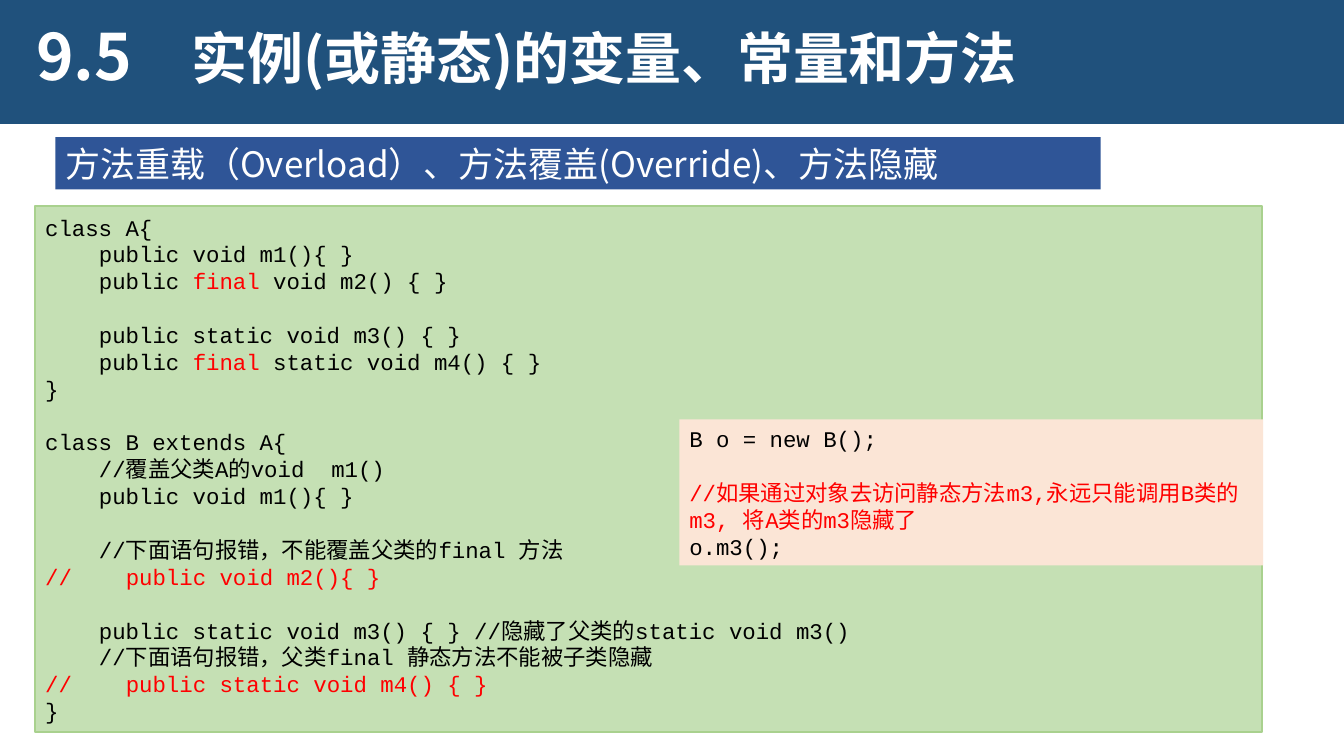
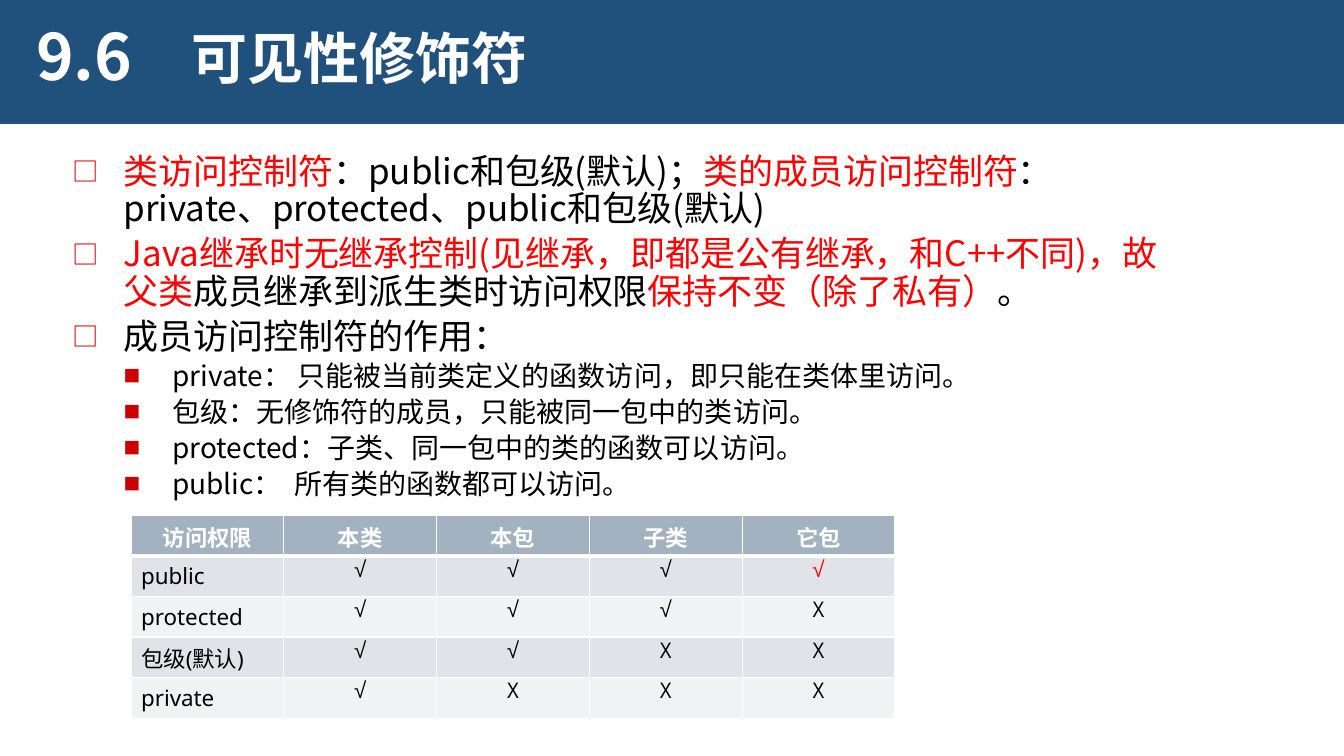
from dataclasses import dataclass
from pptx import Presentation
from pptx.dml.color import RGBColor
from pptx.enum.shapes import MSO_SHAPE
from pptx.enum.text import MSO_ANCHOR, PP_ALIGN
from pptx.oxml.ns import qn
from pptx.util import Pt
from lxml.etree import SubElement


@dataclass(frozen=True)
class Theme:
    band: str = "20517C"
    label: str = "2F5597"
    green: str = "C5E0B4"
    edge: str = "A9D18E"
    peach: str = "FBE5D6"
    head: str = "A3B2C1"
    rows: tuple = ("E0E4E9", "F0F2F4")
    white: str = "FFFFFF"
    black: str = "000000"
    red: str = "FF0000"
    mark: str = "CC0000"
    cjk: str = "Noto Sans CJK SC"
    sans: str = "Noto Sans"
    slim: str = "Arial Narrow"
    mono: str = "Courier New"
    number: float = 45.6
    title: float = 40
    body: float = 25
    sub: float = 20
    code: float = 16


T = Theme()
STEP = 38.4
LINE = 19.2
TAB = 57.6

TITLES = [("9.5", "实例(或静态)的变量、常量和方法"), ("9.6", "可见性修饰符")]
LABEL = "方法重载（Overload）、方法覆盖(Override)、方法隐藏"

# Each "|" switches between black and red.
CLASSES = [
    (0, 0, "class A{"),
    (1, 0, "public void m1(){ }"),
    (1, 0, "public |final| void m2() { }"),
    (1, 1, "public static void m3() { }"),
    (1, 0, "public |final| static void m4() { }"),
    (0, 0, "}"),
    (0, 1, "class B extends A{"),
    (1, 0, "//覆盖父类A的void  m1()"),
    (1, 0, "public void m1(){ }"),
    (1, 1, "//下面语句报错，不能覆盖父类的final 方法"),
    (0, 0, "|//\tpublic void m2(){ }"),
    (1, 1, "public static void m3() { } //隐藏了父类的static void m3()"),
    (1, 0, "//下面语句报错，父类final 静态方法不能被子类隐藏"),
    (0, 0, "|//\tpublic static void m4() { }"),
    (0, 0, "}"),
]
USAGE = [
    (0, 0, "B o = new B();"),
    (0, 1, "|//如果通过对象去访问静态方法m3,永远只能调用B类的m3, 将A类的m3隐藏了"),
    (0, 0, "o.m3();"),
]
POINTS = [
    (0, "|类访问控制符|：public和包级(默认)；|类的成员访问控制符|：private、protected、public和包级(默认)"),
    (0, "|Java继承时无继承控制(见继承，即都是公有继承，和C++不同)，故父类|成员继承到派生类时访问权限|保持不变（除了私有）|。"),
    (0, "成员访问控制符的作用："),
    (1, "private： 只能被当前类定义的函数访问，即只能在类体里访问。"),
    (1, "包级：无修饰符的成员，只能被同一包中的类访问。"),
    (1, "protected：子类、同一包中的类的函数可以访问。"),
    (1, "public：  所有类的函数都可以访问。"),
]
LEVELS = [
    dict(size=T.body, left=36.7, hang=36.7, sign="□", scale=75),
    dict(size=T.sub, left=71.3, hang=34.6, sign="■", scale=60),
]
ACCESS = [
    ("访问权限", "本类", "本包", "子类", "它包"),
    ("public", "√", "√", "√", "|√"),
    ("protected", "√", "√", "√", "X"),
    ("包级(默认)", "√", "√", "X", "X"),
    ("private", "√", "X", "X", "X"),
]


def rgb(hue):
    return RGBColor.from_string(hue)


def write(para, text, size, face, hue=T.black, bold=False, east=T.cjk):
    for i, part in enumerate(text.split("|")):
        if not part:
            continue
        run = para.add_run()
        run.text = part
        font = run.font
        font.size, font.name, font.bold = Pt(size), face, bold
        font.color.rgb = rgb(T.red if i % 2 else hue)
        SubElement(font._element, qn("a:ea"), typeface=east)


def box(slide, area, fill, line=None):
    shape = slide.shapes.add_shape(MSO_SHAPE.RECTANGLE, *map(Pt, area))
    shape.shadow.inherit = False
    shape.fill.solid()
    shape.fill.fore_color.rgb = rgb(fill)
    if line:
        shape.line.color.rgb = rgb(line)
        shape.line.width = Pt(1.75)
    else:
        shape.line.fill.background()
    frame = shape.text_frame
    frame.word_wrap = True
    frame.vertical_anchor = MSO_ANCHOR.MIDDLE
    return frame


def area_text(slide, area):
    frame = slide.shapes.add_textbox(*map(Pt, area)).text_frame
    frame.word_wrap = True
    return frame


def paras(frame, items):
    for i, item in enumerate(items):
        yield (frame.add_paragraph() if i else frame.paragraphs[0]), item


def heading(deck, number, title):
    slide = deck.slides.add_slide(deck.slide_layouts[6])
    box(slide, (0, 0, 960, 88.6), T.band)
    parts = [
        (number, T.number, (18.7, 13.7, 98.6, 65.5)),
        (title, T.title, (129.6, 18, 808.6, 38.9)),
    ]
    for text, size, area in parts:
        para = area_text(slide, area).paragraphs[0]
        para.line_spacing = Pt(round(size * 1.08, 1))
        write(para, text, size, T.cjk, T.white, True)
    return slide


def code(slide, area, lines, fill, edge=None):
    frame = box(slide, area, fill, edge)
    for para, (depth, gap, text) in paras(frame, lines):
        para.alignment = PP_ALIGN.LEFT
        para.line_spacing = Pt(LINE)
        para.space_before = Pt(gap * LINE)
        props = para._p.get_or_add_pPr()
        props.set("marL", str(Pt(depth * STEP)))
        if "\t" in text:
            tabs = SubElement(props, qn("a:tabLst"))
            SubElement(tabs, qn("a:tab"), pos=str(Pt(TAB)), algn="l")
        write(para, text, T.code, T.mono)


def bullets(slide, area, items):
    for para, (depth, text) in paras(area_text(slide, area), items):
        level = LEVELS[depth]
        size = level["size"]
        para.level = depth
        para.line_spacing = Pt(size * 1.08)
        para.space_before = Pt(size * 0.2)
        props = para._p.get_or_add_pPr()
        props.set("marL", str(Pt(level["left"])))
        props.set("indent", str(-Pt(level["hang"])))
        tint = SubElement(props, qn("a:buClr"))
        SubElement(tint, qn("a:srgbClr"), val=T.mark)
        SubElement(props, qn("a:buSzPct"), val=str(level["scale"] * 1000))
        SubElement(props, qn("a:buFont"), typeface=T.cjk)
        SubElement(props, qn("a:buChar"), char=level["sign"])
        write(para, text, size, T.cjk)


def borders(cell, row):
    props = cell._tc.get_or_add_tcPr()
    wide = {"T": 3 if row == 1 else 1, "B": 3 if row == 0 else 1}
    for i, side in enumerate("LRTB"):
        line = props.makeelement(qn("a:ln" + side), w=str(Pt(wide.get(side, 1))))
        fill = SubElement(line, qn("a:solidFill"))
        SubElement(fill, qn("a:srgbClr"), val=T.white)
        props.insert(i, line)


def grid(slide, area, data):
    shape = slide.shapes.add_table(len(data), len(data[0]), *map(Pt, area))
    table = shape.table
    table.first_row = table.horz_banding = False
    for r, row in enumerate(data):
        for c, text in enumerate(row):
            cell = table.cell(r, c)
            cell.fill.solid()
            cell.fill.fore_color.rgb = rgb(T.rows[(r - 1) % 2] if r else T.head)
            borders(cell, r)
            para = cell.text_frame.paragraphs[0]
            para.alignment = PP_ALIGN.CENTER if c or not r else PP_ALIGN.LEFT
            slim = r and c
            write(para, text, T.code, T.slim if slim else T.sans,
                  T.black if r else T.white, not r, T.slim if slim else T.cjk)


def main():
    deck = Presentation()
    deck.slide_width, deck.slide_height = Pt(960), Pt(540)
    first, second = [heading(deck, *pair) for pair in TITLES]

    para = box(first, (39.6, 98, 746.6, 37.4), T.label).paragraphs[0]
    para.alignment = PP_ALIGN.LEFT
    para.line_spacing = Pt(30)
    write(para, LABEL, T.body, T.cjk, T.white)
    code(first, (25.2, 147, 876.2, 375.8), CLASSES, T.green, T.edge)
    code(first, (485.3, 299.5, 416.9, 104.4), USAGE, T.peach)

    bullets(second, (44.6, 106, 808.6, 250), POINTS)
    grid(second, (93.6, 368, 545.8, 145), ACCESS)
    deck.save("out.pptx")


if __name__ == "__main__":
    main()
